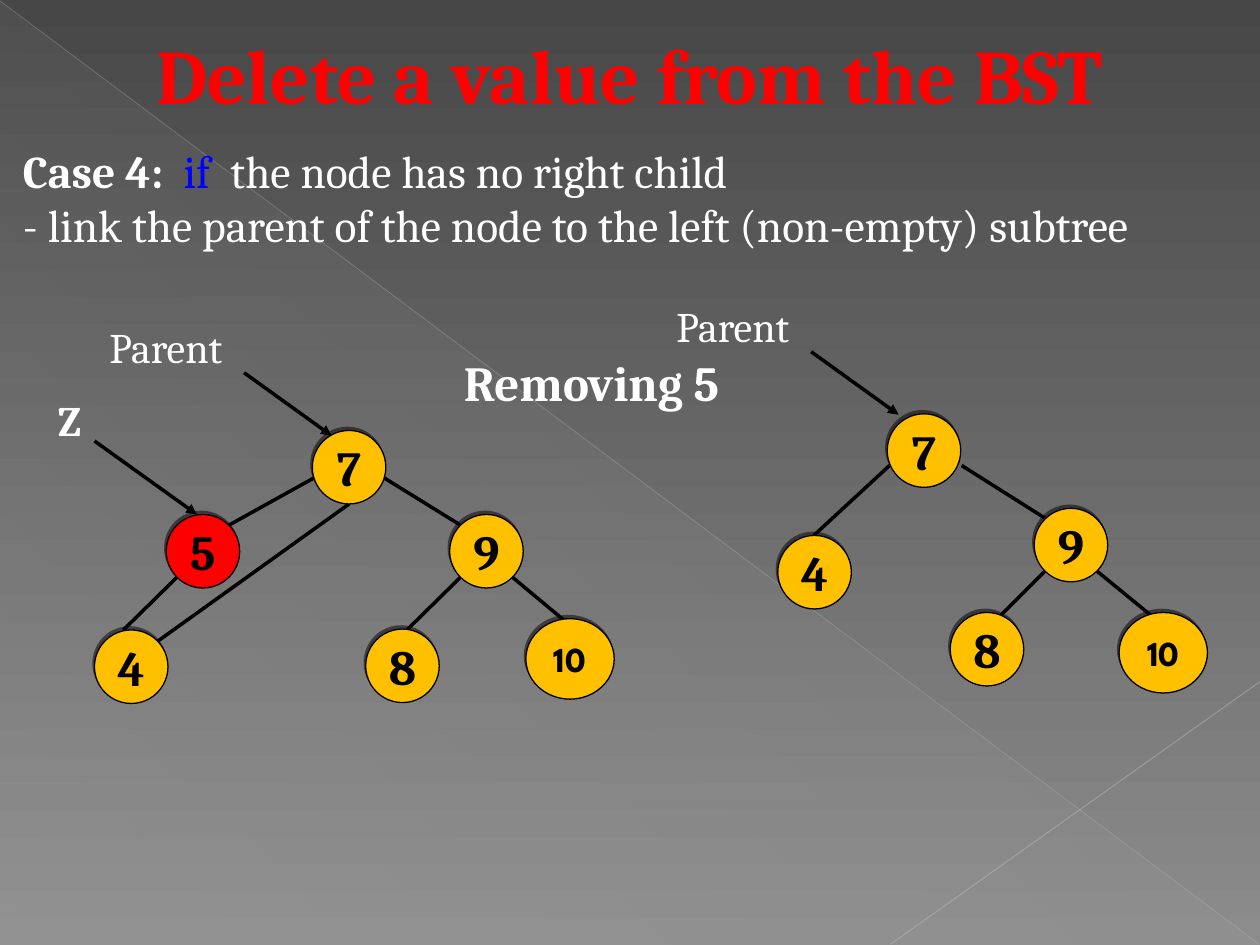
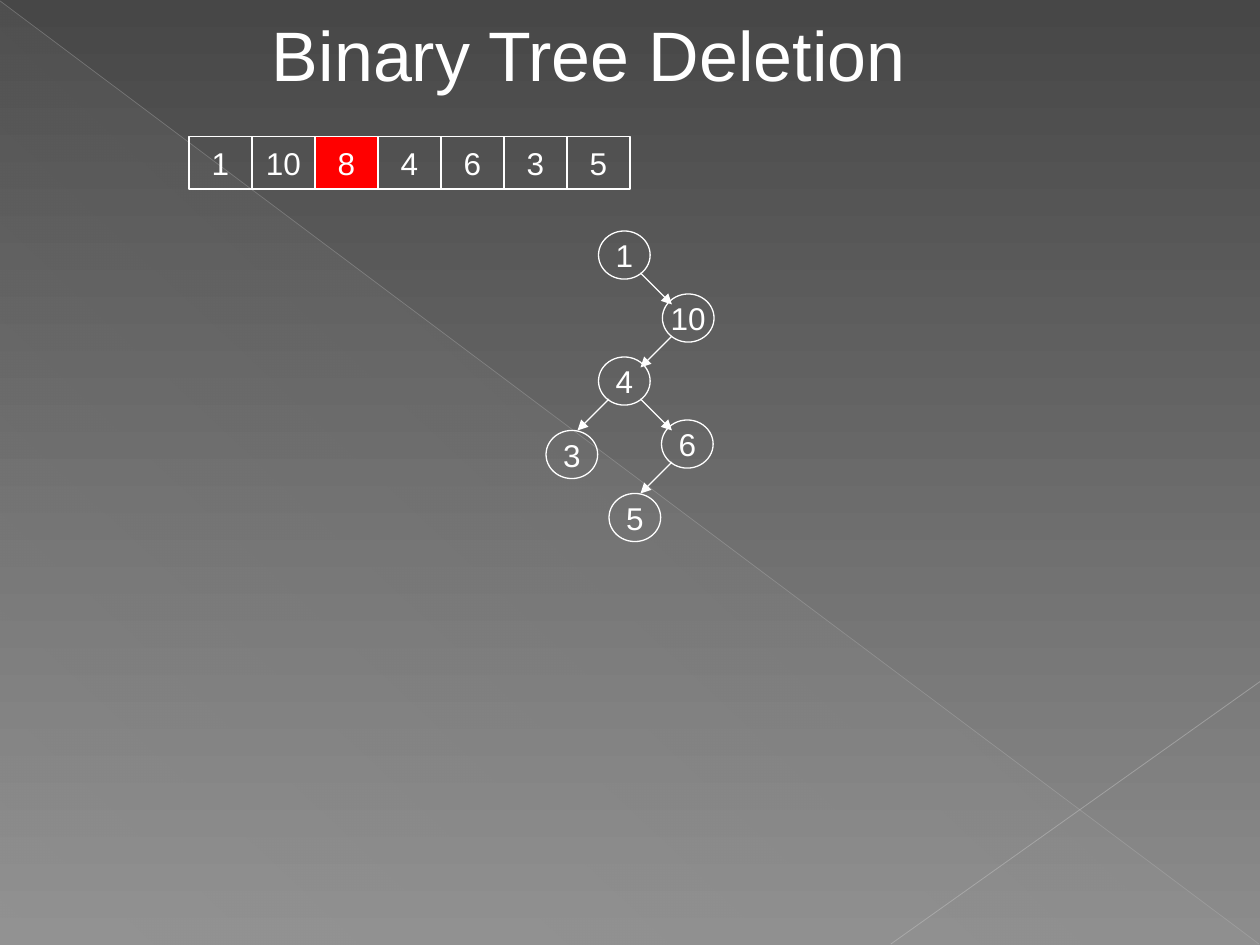
from lxml.etree import SubElement
from pptx import Presentation
from pptx.dml.color import RGBColor
from pptx.enum.shapes import MSO_CONNECTOR as Connector, MSO_SHAPE as Preset
from pptx.enum.text import MSO_ANCHOR as Anchor, PP_ALIGN as Align
from pptx.oxml.ns import qn
from pptx.util import Pt

WIDTH, HEIGHT = 720, 540
WHITE, BLACK, RED, BLUE, AMBER = "FFFFFF", "000000", "FF0000", "0000FF", "FFC000"
SERIF, SANS, DISPLAY = "Cambria", "Arial", "League Spartan"


def color(hex_string):
    return RGBColor.from_string(hex_string)


def set_alphas(element, *percents):
    """Give the element's colours, in order, these opacities."""
    for node, percent in zip(element.iter(qn("a:srgbClr")), percents):
        SubElement(node, qn("a:alpha"), val=str(percent * 1000))


def set_gradient(fill, first, last, angle):
    fill.gradient()
    fill.gradient_angle = angle
    for stop, hex_string, position in zip(fill.gradient_stops, (first, last), (0, 1)):
        stop.color.rgb = color(hex_string)
        stop.position = position


def add_line(slide, start, end, line_color, width, arrow=False):
    line = slide.shapes.add_connector(
        Connector.STRAIGHT, *(Pt(value) for value in (*start, *end)))
    line.line.color.rgb = color(line_color)
    line.line.width = Pt(width)
    properties = line._element.spPr
    if arrow:
        SubElement(properties.find(qn("a:ln")), qn("a:tailEnd"), type="triangle")
    SubElement(properties, qn("a:effectLst"))
    return line


def add_run(paragraph, text, size, font, text_color=WHITE, bold=False):
    run = paragraph.add_run()
    run.text = text
    run.font.size = Pt(size)
    run.font.name = font
    run.font.bold = bold
    run.font.color.rgb = color(text_color)


def add_text(slide, box, paragraphs, align=Align.LEFT, wrap=True):
    """Add a text box; each paragraph is a list of add_run arguments."""
    frame = slide.shapes.add_textbox(*(Pt(value) for value in box)).text_frame
    frame.word_wrap = wrap
    for index, runs in enumerate(paragraphs):
        paragraph = frame.add_paragraph() if index else frame.paragraphs[0]
        paragraph.alignment = align
        for run in runs:
            add_run(paragraph, *run)


def add_cell(slide, preset, box, run, fill=None, line_color=WHITE):
    """Add an outlined shape with one centred value."""
    shape = slide.shapes.add_shape(preset, *(Pt(value) for value in box))
    shape.shadow.inherit = False
    if fill:
        shape.fill.solid()
        shape.fill.fore_color.rgb = color(fill)
    else:
        shape.fill.background()
    shape.line.color.rgb = color(line_color)
    shape.line.width = Pt(0.75)
    frame = shape.text_frame
    frame.word_wrap = False
    frame.vertical_anchor = Anchor.MIDDLE
    frame.paragraphs[0].alignment = Align.CENTER
    add_run(frame.paragraphs[0], *run)
    return shape


def add_hard_shadow(shape):
    effects = shape._element.spPr.find(qn("a:effectLst"))
    shadow = SubElement(effects, qn("a:outerShdw"), blurRad="0", dist=str(Pt(2)),
                        dir=str(245 * 60000), algn="ctr", rotWithShape="0")
    SubElement(shadow, qn("a:srgbClr"), val=BLACK)
    set_alphas(shadow, 50)


def add_themed_slide(presentation):
    slide = presentation.slides.add_slide(presentation.slide_layouts[6])
    set_gradient(slide.background.fill, "474747", "8C8C8C", 270)
    triangle = slide.shapes.add_shape(
        Preset.RIGHT_TRIANGLE, Pt(0.5), Pt(1), Pt(WIDTH - 0.5), Pt(HEIGHT - 1))
    triangle.shadow.inherit = False
    triangle.line.fill.background()
    set_gradient(triangle.fill, "D2D2D2", "D2D2D2", 227)
    set_alphas(triangle._element.spPr, 1, 10)
    falling = add_line(slide, (0, 0.5), (719.5, 539.5), "BFBFBF", 0.4)
    rising = add_line(slide, (WIDTH, 389.5), (509, 539.5), "C6C6C6", 0.48)
    set_alphas(falling._element.spPr, 35)
    set_alphas(rising._element.spPr, 45)
    return slide


def add_pointer(slide, left, top, label, bold, arrow_start, arrow_end):
    """Add a label and its arrow, both measured from the label's corner."""
    add_text(slide, (left, top, 80 if len(label) > 1 else 27, 36),
             [[(label, 24, SERIF, WHITE, bold)]], wrap=False)
    start, end = ((left + x, top + y) for x, y in (arrow_start, arrow_end))
    add_line(slide, start, end, BLACK, 2, arrow=True)


def add_search_tree(slide, left, top, nodes, edges, removed=None):
    """Draw a tree and its parent pointer; the label's corner is the origin."""
    for x1, y1, x2, y2 in edges:
        add_line(slide, (left + x1, top + y1), (left + x2, top + y2), BLACK, 2)
    for value, (x, y) in nodes.items():
        wide = len(value) > 1
        width, height = (50.5, 46) if wide else (42, 42)
        size, font = (20, DISPLAY) if wide else (28, SERIF)
        node = add_cell(slide, Preset.OVAL, (left + x, top + y, width, height),
                        (value, size, font, BLACK, True),
                        RED if value == removed else AMBER, BLACK)
        add_hard_shadow(node)
    add_pointer(slide, left, top, "Parent", False, (84, 33), (134, 69))


def add_array(slide, left, top, values, removed):
    width, height = 36, 30
    for index, value in enumerate(values):
        add_cell(slide, Preset.RECTANGLE, (left + index * width, top, width, height),
                 (value, 18, SANS), RED if value == removed else None)


def add_outline_tree(slide, left, top, nodes, arrows):
    """Draw hollow nodes; each arrow is a start and a direction, -1 left or 1 right."""
    step = 18
    for value, (x, y) in nodes.items():
        add_cell(slide, Preset.OVAL, (left + x, top + y, 29.5, 27.5), (value, 18, SANS))
    for x, y, direction in arrows:
        start = left + x, top + y
        end = start[0] + direction * step, start[1] + step
        add_line(slide, start, end, WHITE, 0.75, arrow=True)


def build_case_slide(presentation):
    slide = add_themed_slide(presentation)
    add_text(slide, (6, 78, WIDTH, 114), [
        [("Case 4:  ", 26, SERIF, WHITE, True), ("if  ", 26, SERIF, BLUE),
         ("the node has no right child", 26, SERIF)],
        [("- link the parent of the node to the left (non-empty) subtree", 26, SERIF)],
    ])
    add_text(slide, (258, 198, 192, 41), [[("Removing 5", 28, SERIF, WHITE, True)]])
    add_text(slide, (36, 12, 648, 66),
             [[("Delete a value from the BST", 44, SERIF, RED, True)]], Align.CENTER)
    add_search_tree(
        slide, 55.5, 180,
        {"5": (39.5, 114), "7": (123, 66), "9": (201.5, 114),
         "8": (153.5, 179.5), "10": (245, 173.5), "4": (-1.5, 180)},
        [(75.5, 120, 129.5, 90), (159, 90, 207.5, 120), (177, 180, 207.5, 150),
         (237.5, 150, 273.5, 180), (15, 180, 45.5, 150), (144, 108, 34.5, 186.5)],
        removed="5")
    add_pointer(slide, 26, 222, "Z", True, (28, 30), (86.5, 72))
    add_search_tree(
        slide, 379.5, 168,
        {"7": (127.5, 68.5), "8": (163.5, 182), "9": (211.5, 122.5),
         "10": (260, 182), "4": (65, 138)},
        [(170, 98, 217.5, 128), (188, 188, 217.5, 158.5),
         (247.5, 158.5, 283.5, 188), (130.5, 96.5, 85.5, 138)])


def build_deletion_slide(presentation):
    slide = add_themed_slide(presentation)
    add_array(slide, 108, 78, ["1", "10", "8", "4", "6", "3", "5"], removed="8")
    add_outline_tree(
        slide, 312, 132,
        {"1": (30, 0), "10": (66.5, 36), "4": (30, 72),
         "6": (66, 108), "3": (0, 114), "5": (36, 150)},
        [(54, 24, 1), (72, 60, -1), (54, 96, 1), (36, 96, -1), (72, 132, -1)])
    add_text(slide, (147, 3, 390, 55.5),
             [[("Binary Tree Deletion ", 40, SANS)]], Align.CENTER)


def main():
    presentation = Presentation()
    presentation.slide_width, presentation.slide_height = Pt(WIDTH), Pt(HEIGHT)
    build_case_slide(presentation)
    build_deletion_slide(presentation)
    presentation.save("out.pptx")


if __name__ == "__main__":
    main()
